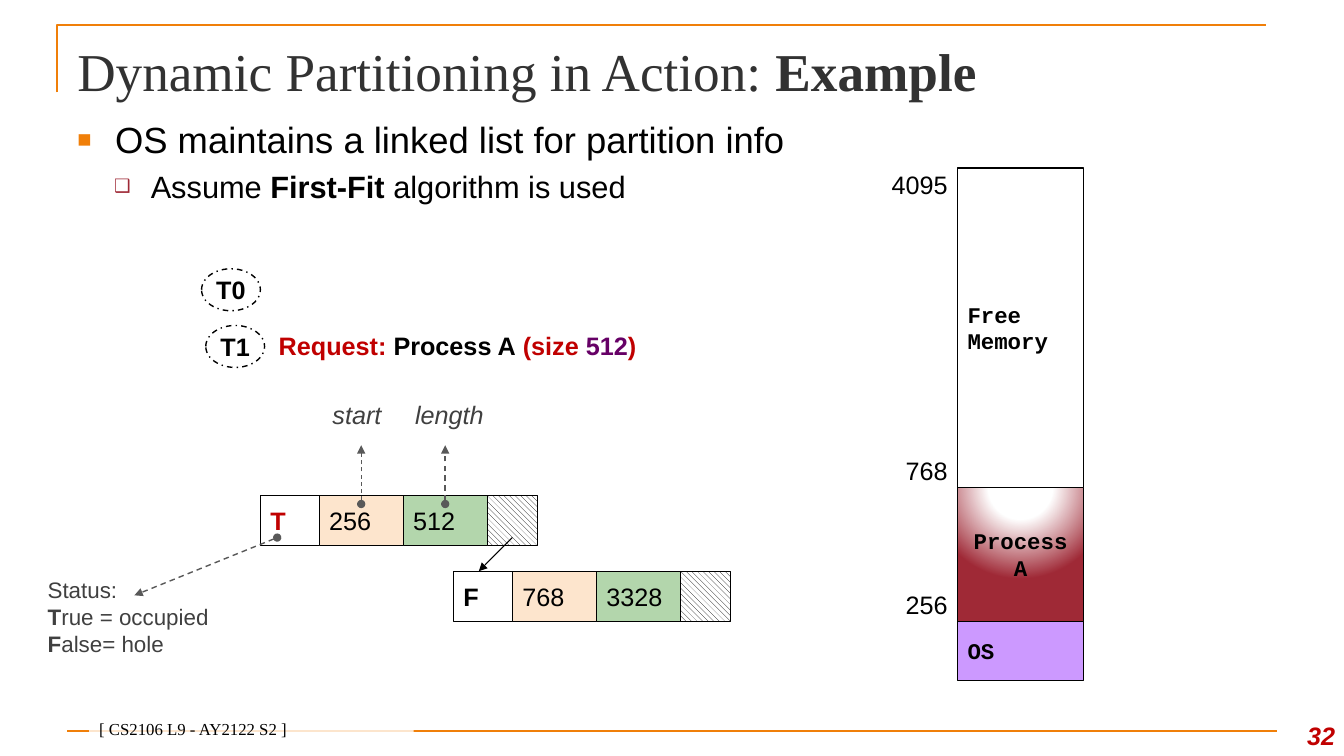
from lxml import etree
from pptx import Presentation
from pptx.dml.color import RGBColor
from pptx.enum.dml import MSO_LINE, MSO_PATTERN
from pptx.enum.shapes import MSO_CONNECTOR, MSO_SHAPE
from pptx.enum.text import MSO_ANCHOR, MSO_AUTO_SIZE, PP_ALIGN
from pptx.oxml.ns import qn
from pptx.util import Pt

LEFT, CENTER, RIGHT = PP_ALIGN.LEFT, PP_ALIGN.CENTER, PP_ALIGN.RIGHT
TOP, MIDDLE, BOTTOM = MSO_ANCHOR.TOP, MSO_ANCHOR.MIDDLE, MSO_ANCHOR.BOTTOM
DASH, DASH_DOT = MSO_LINE.DASH, MSO_LINE.DASH_DOT
RECTANGLE, OVAL = MSO_SHAPE.RECTANGLE, MSO_SHAPE.OVAL
HATCH = MSO_PATTERN.WIDE_DOWNWARD_DIAGONAL

EMU_PER_PX = 9525
BLACK, WHITE, ORANGE, RED, MAROON = "000000", "FFFFFF", "F07F09", "C00000", "9F2936"
TITLE_GREY, LABEL_GREY, ARROW_GREY, PURPLE = "323232", "404040", "595959", "660066"
PEACH, GREEN, LILAC = "FDE5CD", "B3D6AC", "CC99FF"

# Every run is (text, format values that differ from its text block)
BOLD = {"bold": True}
TITLE = [[("Dynamic Partitioning in Action: ", {}), ("Example", BOLD)]]
BULLETS = [
    [("OS maintains a linked list for partition info", {"size": 26})],
    [("Assume ", {}), ("First-Fit ", BOLD), ("algorithm is used", {})],
]
# character, colour, size %, left margin px, hanging indent px, space before pt
BULLET_STYLES = [("■", ORANGE, 65, 36, -36, 0), ("❑", MAROON, 60, 70, -35, 5)]
REQUEST = [[("Request: ", {}), ("Process A", {"color": BLACK}), (" (size ", {}),
            ("512", {"color": PURPLE}), (")", {})]]
STATUS = [
    [("Status:", {})],
    [("T", BOLD), ("rue = occupied", {})],
    [("F", BOLD), ("alse= hole", {})],
]
STEPS = [("T0", 192, 256), ("T1", 196, 310)]

# Linked list nodes: left, top, status, status colour, start, length
NODES = [(248, 472, "T", RED, "256", "512"), (432, 544, "F", BLACK, "768", "3328")]
CELL_WIDTHS = [56, 80, 80, 48]
CELL_HEIGHT = 48

# Memory from the top: text, height, fill, alignment, highest address label, label top
MEMORY_LEFT, MEMORY_TOP, MEMORY_WIDTH = 912, 160, 120
MEMORY = [("Free Memory", 304, WHITE, LEFT), ("Process A", 128, None, CENTER),
          ("OS", 56, LILAC, LEFT)]
ADDRESSES = [("4095", 160), ("768", 432), ("256", 560)]
ADDRESS_WIDTH, ADDRESS_HEIGHT = 72, 32

FIELD_LABELS = [("start", 272), ("length", 360)]
FIELD_ARROWS = [(344, 0.75), (424, 1)]


def px(*values):
    return [value * EMU_PER_PX for value in values]


def rgb(value):
    return RGBColor.from_string(value)


def add_element(parent, tag, **attributes):
    element = etree.SubElement(parent, qn(tag))
    for name, value in attributes.items():
        element.set(name, str(value))
    return element


def write(shape, lines, anchor=TOP, align=LEFT, wrap=True, **base):
    """Fill a shape with lines of runs; base holds the shared run format."""
    frame = shape.text_frame
    frame.auto_size = MSO_AUTO_SIZE.NONE
    frame.word_wrap, frame.vertical_anchor = wrap, anchor
    for index, runs in enumerate(lines):
        paragraph = frame.add_paragraph() if index else frame.paragraphs[0]
        paragraph.alignment = align
        for text, changes in runs:
            values = {"name": "Arial", "size": 18, "bold": False, "color": BLACK,
                      **base, **changes}
            run = paragraph.add_run()
            run.text = text
            run.font.color.rgb = rgb(values.pop("color"))
            values["size"] = Pt(values["size"])
            for name, value in values.items():
                setattr(run.font, name, value)


def set_line(shape, color, width, dash=None):
    shape.line.color.rgb = rgb(color)
    shape.line.width = Pt(width)
    if dash:
        shape.line.dash_style = dash


def add_box(kind, box, fill=None, line_width=0.75, dash=None):
    shape = slide.shapes.add_shape(kind, *px(*box))
    shape.shadow.inherit = False
    if fill:
        shape.fill.solid()
        shape.fill.fore_color.rgb = rgb(fill)
    if line_width:
        set_line(shape, BLACK, line_width, dash)
    else:
        shape.line.fill.background()
    return shape


def add_text(box, lines, **values):
    write(slide.shapes.add_textbox(*px(*box)), lines, **values)


def add_line(points, color, width, dash=None, head=None, tail=None):
    line = slide.shapes.add_connector(MSO_CONNECTOR.STRAIGHT, *px(*points))
    set_line(line, color, width, dash)
    for tag, kind in (("a:headEnd", head), ("a:tailEnd", tail)):
        if kind:
            add_element(line.line._ln, tag, type=kind)
    add_element(line._element.spPr, "a:effectLst")


def fill_glow(shape):
    """White glow from above the shape, fading to maroon."""
    fill = etree.Element(qn("a:gradFill"), rotWithShape="1")
    stops = add_element(fill, "a:gsLst")
    for position, color in ((0, WHITE), (35000, WHITE), (100000, MAROON)):
        add_element(add_element(stops, "a:gs", pos=position), "a:srgbClr", val=color)
    circle = add_element(fill, "a:path", path="circle")
    add_element(circle, "a:fillToRect", l=50000, t=-80000, r=50000, b=180000)
    shape._element.spPr.find(qn("a:prstGeom")).addnext(fill)


def place(shape, box):
    shape.left, shape.top, shape.width, shape.height = px(*box)


presentation = Presentation()
presentation.slide_width, presentation.slide_height = px(1280, 720)
slide = presentation.slides.add_slide(presentation.slide_layouts[1])
title, body = slide.placeholders

# Frame and footer
builder = slide.shapes.build_freeform(54, 88, scale=EMU_PER_PX)
builder.add_line_segments([(54, 24), (1206, 24)], close=False)
corner = builder.convert_to_shape()
corner.shadow.inherit = False
corner.fill.background()
set_line(corner, ORANGE, 1.5)
add_line((64, 696, 1216, 696), ORANGE, 1.5)
add_text((1206, 672, 75, 48), [[("32", BOLD)]], anchor=BOTTOM, align=RIGHT,
         color=RED, italic=True)
footer = add_box(RECTANGLE, (85, 684, 309, 24), WHITE, line_width=0)
add_element(footer._element.spPr.find(".//" + qn("a:srgbClr")), "a:alpha", val=80000)
write(footer, [[("[ CS2106 L9 - AY2122 S2 ]", {})]], anchor=BOTTOM,
      name="Times New Roman", size=12)

# Title and bullets
place(title, (64, 29, 1152, 75))
write(title, TITLE, anchor=MIDDLE, name="Times New Roman", size=38, color=TITLE_GREY)
place(body, (64, 107, 1008, 96))
write(body, BULLETS, size=22)
for level, (paragraph, style) in enumerate(zip(body.text_frame.paragraphs, BULLET_STYLES)):
    character, color, percent, margin, indent, space = style
    paragraph.level = level
    paragraph.space_before = Pt(space)
    properties = paragraph._p.get_or_add_pPr()
    for name, value in zip(("marL", "indent"), px(margin, indent)):
        properties.set(name, str(value))
    add_element(add_element(properties, "a:buClr"), "a:srgbClr", val=color)
    add_element(properties, "a:buSzPct", val=percent * 1000)
    add_element(properties, "a:buFont", typeface="Arial")
    add_element(properties, "a:buChar", char=character)

# Time steps
for text, left, top in STEPS:
    step = add_box(OVAL, (left, top, 56, 40), WHITE, 1, DASH_DOT)
    write(step, [[(text, BOLD)]], anchor=MIDDLE, align=CENTER, wrap=False)
add_text((256, 310, 416, 38), REQUEST, color=RED, bold=True)

# Linked list
for left, top, status, status_color, start, length in NODES:
    cells = [(status, WHITE, {"color": status_color, "bold": True}),
             (start, PEACH, {}), (length, GREEN, {}), (None, None, {})]
    for width, (text, fill, changes) in zip(CELL_WIDTHS, cells):
        cell = add_box(RECTANGLE, (left, top, width, CELL_HEIGHT), fill)
        if text:
            write(cell, [[(text, changes)]], anchor=MIDDLE)
        else:
            cell.fill.patterned()
            cell.fill.pattern = HATCH
            cell.fill.fore_color.rgb, cell.fill.back_color.rgb = rgb(BLACK), rgb(WHITE)
        left += width
add_line((488, 512, 456, 544), BLACK, 0.75, tail="triangle")

# Memory column
top = MEMORY_TOP
for text, height, fill, align in MEMORY:
    block = add_box(RECTANGLE, (MEMORY_LEFT, top, MEMORY_WIDTH, height), fill)
    if not fill:
        fill_glow(block)
    write(block, [[(text, BOLD)]], anchor=MIDDLE, align=align, name="Courier New", size=16)
    top += height
for text, top in ADDRESSES:
    add_text((MEMORY_LEFT - ADDRESS_WIDTH, top, ADDRESS_WIDTH, ADDRESS_HEIGHT),
             [[(text, {})]], anchor=MIDDLE, align=RIGHT, wrap=False)

# Field explanations
add_text((36, 544, 192, 86), STATUS, size=16, color=LABEL_GREY)
add_line((264, 512, 128, 567), ARROW_GREY, 1, DASH, "oval", "triangle")
for text, left in FIELD_LABELS:
    add_text((left, 376, 136, 38), [[(text, {})]], align=CENTER, color=LABEL_GREY, italic=True)
for x, width in FIELD_ARROWS:
    add_line((x, 480, x, 424), ARROW_GREY, width, DASH, "oval", "triangle")

presentation.save("out.pptx")
